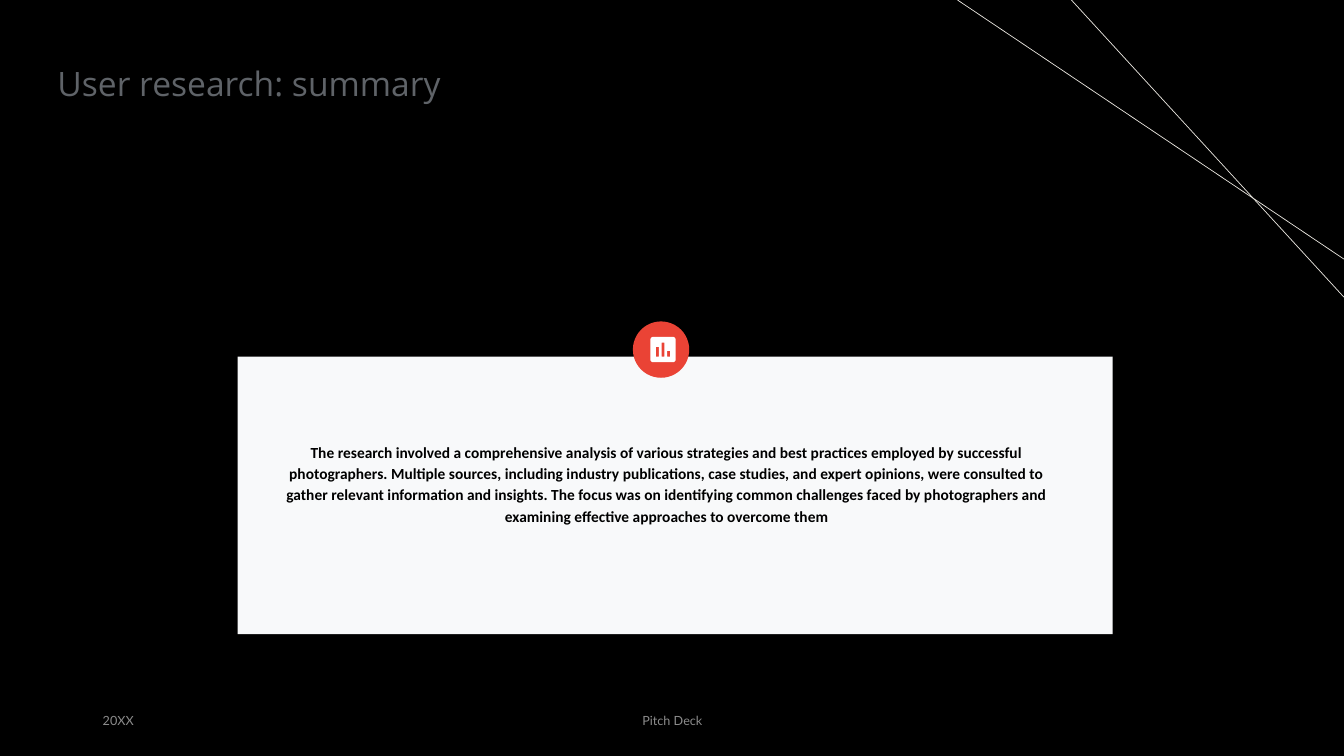
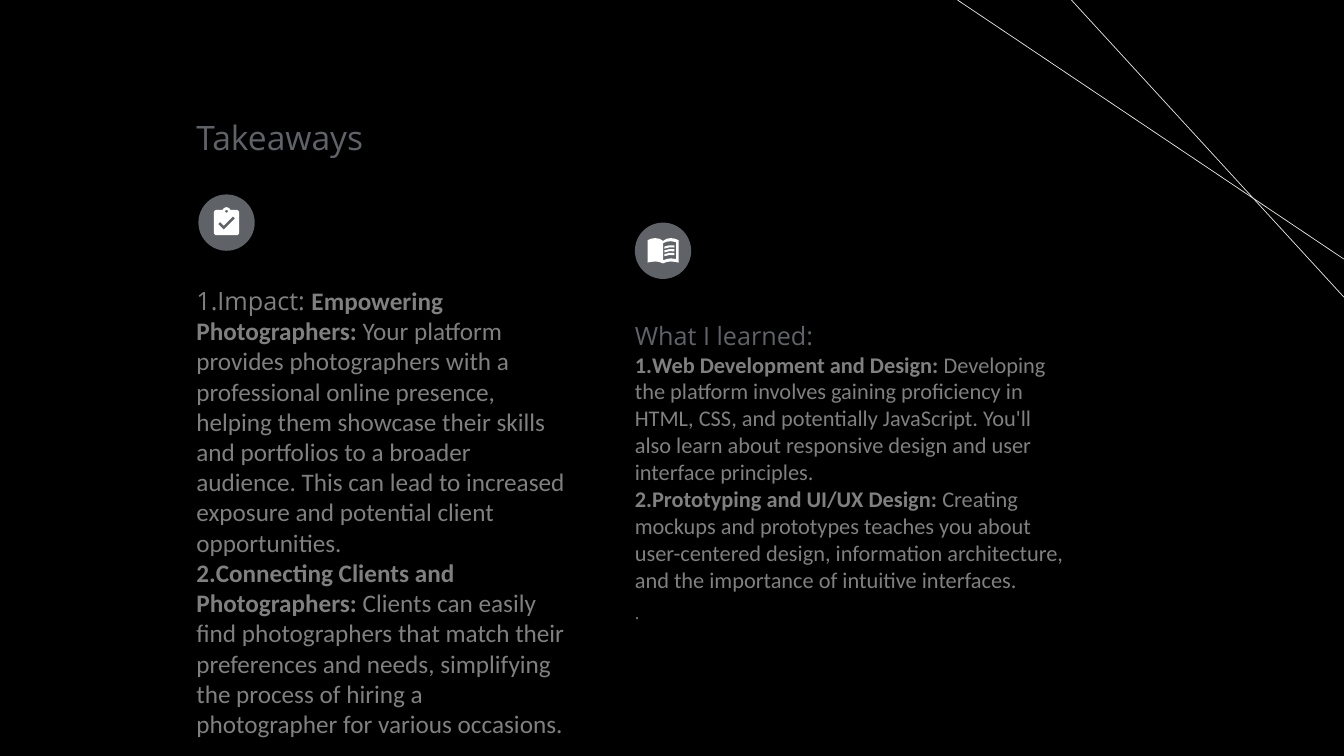
from dataclasses import dataclass
from math import cos, radians, sin

from lxml import etree
from pptx import Presentation
from pptx.dml.color import RGBColor
from pptx.enum.shapes import MSO_CONNECTOR, MSO_SHAPE
from pptx.enum.text import MSO_ANCHOR, MSO_AUTO_SIZE, PP_ALIGN
from pptx.oxml.ns import qn
from pptx.util import Cm, Pt

LEFT, CENTER = PP_ALIGN.LEFT, PP_ALIGN.CENTER
TOP, MIDDLE = MSO_ANCHOR.TOP, MSO_ANCHOR.MIDDLE
GROW = MSO_AUTO_SIZE.SHAPE_TO_FIT_TEXT
STRAIGHT = MSO_CONNECTOR.STRAIGHT
RECTANGLE, OVAL = MSO_SHAPE.RECTANGLE, MSO_SHAPE.OVAL


@dataclass(frozen=True)
class Theme:
    background: str = "000000"
    rule: str = "E9E6DF"
    card: str = "F8F9FA"
    slate: str = "5F6368"
    accent: str = "EA4335"
    icon: str = "FFFFFF"
    # Text styles: font, size, colour, bold
    title: tuple = ("Open Sans", 24, "5F6368", False)
    heading: tuple = ("Open Sans", 18, "5F6368", False)
    lead: tuple = ("Open Sans", 18, "808080", False)
    large: tuple = ("Calibri", 18, "808080", False)
    large_bold: tuple = ("Calibri", 18, "808080", True)
    body: tuple = ("Calibri", 16, "808080", False)
    body_bold: tuple = ("Calibri", 16, "808080", True)
    summary: tuple = ("Calibri", 11, "000000", True)
    small: tuple = ("Open Sans", 12, "808080", False)
    footer: tuple = ("Lato", 9, "8C8C8C", False)


theme = Theme()
BADGE_SIZE = 1.42
ICON_SIZE = 0.85  # width of the 24-unit grid on which icons are outlined


def add_text(slide, box, paragraphs, align=LEFT, anchor=TOP, inset=0):
    """Each paragraph is (line spacing, numbered, [(text, style), ...])."""
    shape = slide.shapes.add_textbox(*map(Cm, box))
    frame = shape.text_frame
    frame.word_wrap = True
    frame.vertical_anchor = anchor
    frame.margin_left = Cm(inset)
    if anchor == TOP:
        frame.auto_size = GROW
    for index, (spacing, numbered, runs) in enumerate(paragraphs):
        paragraph = frame.add_paragraph() if index else frame.paragraphs[0]
        paragraph.alignment = align
        if spacing:
            paragraph.line_spacing = spacing
        if numbered:
            properties = paragraph._p.get_or_add_pPr()
            properties.set("marL", "0")
            properties.set("indent", "0")
            etree.SubElement(properties, qn("a:buAutoNum"), type="arabicPeriod")
        for text, (font, size, color, bold) in runs:
            run = paragraph.add_run()
            run.text = text
            run.font.name = font
            run.font.size = Pt(size)
            run.font.bold = bold
            run.font.color.rgb = RGBColor.from_string(color)


def fill_shape(shape, color):
    shape.shadow.inherit = False
    shape.fill.solid()
    shape.fill.fore_color.rgb = RGBColor.from_string(color)
    shape.line.fill.background()


# Icon outlines: lists of contours, where inner contours cut holes
rounded_square = [
    (x + 2 * cos(radians(start + step)), y + 2 * sin(radians(start + step)))
    for x, y, start in [(19, 5, -90), (19, 19, 0), (5, 19, 90), (5, 5, 180)]
    for step in range(0, 91, 15)
]
chart_icon = [rounded_square] + [
    [(x, top), (x + 2, top), (x + 2, 17), (x, 17)]
    for x, top in [(7, 10), (11, 7), (15, 13)]
]
clip_tab = [(9.2, 3), (10.2, 1.6), (12, 1), (13.8, 1.6), (14.8, 3)]
clip_hole = [
    (12 + cos(radians(angle)), 4 + sin(radians(angle))) for angle in range(0, 360, 30)
]
check_mark = [(10, 17), (6, 13), (7.4, 11.6), (10, 14.2), (16.6, 7.6), (18, 9)]
clipboard_icon = [rounded_square + clip_tab, clip_hole, check_mark]
left_cover = [
    (12, 5), (9.5, 3.5), (6.5, 3), (3.5, 3.4), (1, 4.5),
    (1, 20.4), (3.5, 19.9), (6.5, 19.6), (9.5, 20), (12, 21),
]
right_cover = [(24 - x, y) for x, y in reversed(left_cover[1:-1])]
right_page = [
    (12, 6.6), (14.5, 5.6), (17.5, 5.2), (21.4, 5.9),
    (21.4, 17.9), (17.5, 17.4), (14.5, 17.9), (12, 18.8),
]
text_line = [(13, 9), (16.5, 8.1), (20, 8.2), (20, 9.7), (16.5, 9.6), (13, 10.5)]
book_icon = [left_cover + right_cover, right_page] + [
    [(x, y + 2.7 * row) for x, y in text_line] for row in range(3)
]

# Presentation and shared background
presentation = Presentation()
presentation.slide_width = Cm(33.87)
presentation.slide_height = Cm(19.05)
background = presentation.slide_master.background.fill
background.solid()
background.fore_color.rgb = RGBColor.from_string(theme.background)

# What each slide holds: title with its box, card, badges and text boxes
summary_slide = {
    "title": ("User research: summary", (1.45, 1.45, 17.09, 1.55)),
    "cards": [(5.99, 8.99, 22.05, 6.99)],
    # Badge: left, top, colour, icon, horizontal icon shift
    "badges": [(15.95, 8.1, theme.accent, chart_icon, 0.05)],
    "texts": [
        {
            "box": (7.09, 10.97, 19.68, 2.74),
            "align": CENTER,
            "paragraphs": [(1.15, False, [(
                "The research involved a comprehensive analysis of various strategies "
                "and best practices employed by successful photographers. Multiple "
                "sources, including industry publications, case studies, and expert "
                "opinions, were consulted to gather relevant information and insights. "
                "The focus was on identifying common challenges faced by photographers "
                "and examining effective approaches to overcome them",
                theme.summary,
            )])],
        },
        {
            "box": (2.34, 17.65, 7.62, 1.02),
            "anchor": MIDDLE,
            "inset": 0.25,
            "paragraphs": [(None, False, [("20XX", theme.footer)])],
        },
        {
            "box": (11.23, 17.65, 11.43, 1.02),
            "align": CENTER,
            "anchor": MIDDLE,
            "inset": 0.25,
            "paragraphs": [(None, False, [("Pitch Deck", theme.footer)])],
        },
    ],
}
takeaways_slide = {
    "title": ("Takeaways", (4.95, 2.82, 13.69, 1.55)),
    "cards": [],
    "badges": [
        (5, 4.9, theme.slate, clipboard_icon, 0),
        (16, 5.61, theme.slate, book_icon, 0),
    ],
    "texts": [
        {
            "box": (4.95, 7.06, 9.58, 11.94),
            "paragraphs": [
                (None, True, [
                    ("Impact: ", theme.lead),
                    ("Empowering Photographers:", theme.large_bold),
                    (" Your platform provides photographers with a professional online "
                     "presence, helping them showcase their skills and portfolios to a "
                     "broader audience. This can lead to increased exposure and "
                     "potential client opportunities.", theme.large),
                ]),
                (None, True, [
                    ("Connecting Clients and Photographers:", theme.large_bold),
                    (" Clients can easily find photographers that match their "
                     "preferences and needs, simplifying the process of hiring a "
                     "photographer for various occasions.", theme.large),
                ]),
            ],
        },
        {
            "box": (16, 7.57, 11.1, 9.27),
            "paragraphs": [
                (1.5, False, [("What I learned:", theme.heading)]),
                (None, True, [
                    ("Web Development and Design:", theme.body_bold),
                    (" Developing the platform involves gaining proficiency in HTML, "
                     "CSS, and potentially JavaScript. You'll also learn about "
                     "responsive design and user interface principles.", theme.body),
                ]),
                (None, True, [
                    ("Prototyping and UI/UX Design:", theme.body_bold),
                    (" Creating mockups and prototypes teaches you about user-centered "
                     "design, information architecture, and the importance of "
                     "intuitive interfaces.", theme.body),
                ]),
                (1.5, False, [(".", theme.small)]),
            ],
        },
    ],
}

for content in (summary_slide, takeaways_slide):
    slide = presentation.slides.add_slide(presentation.slide_layouts[6])

    # Crossing lines in the top right corner
    for start_x, end_y in [(24.13, 6.53), (27, 7.49)]:
        line = slide.shapes.add_connector(
            STRAIGHT, Cm(start_x), 0, presentation.slide_width, Cm(end_y)
        )
        line.line.color.rgb = RGBColor.from_string(theme.rule)
        line.line.width = Pt(0.5)
        etree.SubElement(line._element.spPr, qn("a:effectLst"))

    # Card behind the text
    for box in content["cards"]:
        fill_shape(slide.shapes.add_shape(RECTANGLE, *map(Cm, box)), theme.card)

    # Title and text boxes
    title, title_box = content["title"]
    add_text(slide, title_box, [(None, False, [(title, theme.title)])])
    for text in content["texts"]:
        add_text(slide, **text)

    # Round badges with icons centred on them
    for left, top, color, contours, shift in content["badges"]:
        badge = slide.shapes.add_shape(
            OVAL, Cm(left), Cm(top), Cm(BADGE_SIZE), Cm(BADGE_SIZE)
        )
        fill_shape(badge, color)
        builder = None
        for contour in contours:
            points = [(100 * x, 100 * y) for x, y in contour]
            if builder is None:
                builder = slide.shapes.build_freeform(
                    *points[0], scale=Cm(ICON_SIZE) / 2400
                )
            else:
                builder.move_to(*points[0])
            builder.add_line_segments(points[1:], close=True)
        margin = (BADGE_SIZE - ICON_SIZE) / 2
        icon = builder.convert_to_shape(Cm(left + margin + shift), Cm(top + margin))
        fill_shape(icon, theme.icon)

presentation.save("out.pptx")
